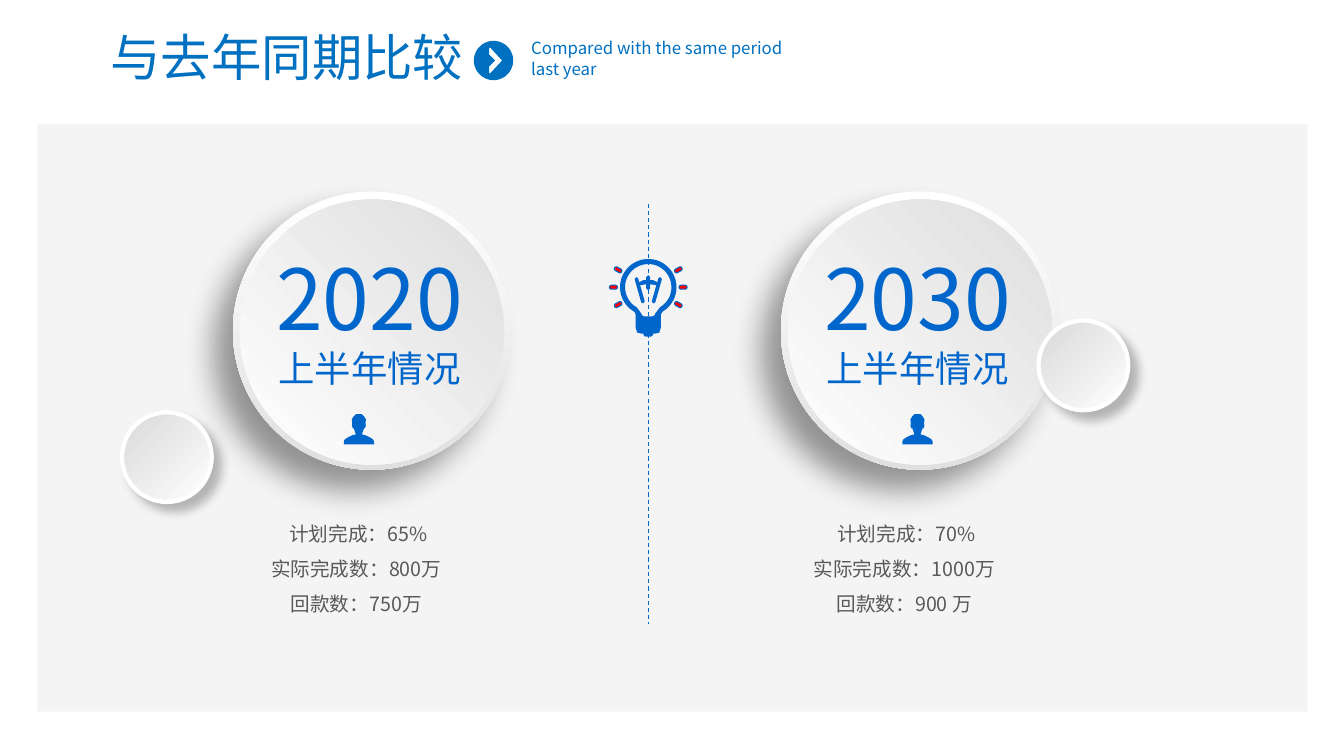
"""Builds the slide that compares the first half of two years."""
from math import cos, radians, sin

from lxml.etree import SubElement
from pptx import Presentation
from pptx.dml.color import RGBColor
from pptx.enum.dml import MSO_LINE
from pptx.enum.shapes import MSO_CONNECTOR, MSO_SHAPE
from pptx.enum.text import MSO_ANCHOR, MSO_AUTO_SIZE, PP_ALIGN
from pptx.oxml.ns import qn
from pptx.util import Inches, Pt

RECTANGLE, ELLIPSE = MSO_SHAPE.RECTANGLE, MSO_SHAPE.OVAL
STRAIGHT, DASH = MSO_CONNECTOR.STRAIGHT, MSO_LINE.DASH
LEFT, CENTER = PP_ALIGN.LEFT, PP_ALIGN.CENTER
TOP, NO_FIT = MSO_ANCHOR.TOP, MSO_AUTO_SIZE.NONE

HEADING_BLUE = RGBColor(0x00, 0x70, 0xC0)
BLUE = RGBColor(0x00, 0x66, 0xCC)
RED = RGBColor(0xFF, 0x00, 0x00)
WHITE = RGBColor(0xFF, 0xFF, 0xFF)
PANEL_GRAY = RGBColor(0xF2, 0xF2, 0xF2)
RIM_GRAY = RGBColor(0xE0, 0xE0, 0xE0)
FACE_GRAY = RGBColor(0xDD, 0xDE, 0xDD)
DOT_GRAY = RGBColor(0xD9, 0xD9, 0xD9)
TEXT_GRAY = RGBColor(0x59, 0x59, 0x59)

FONT = "Noto Sans CJK SC"
CELL = Inches(0.1)


def write(frame, lines, size, color, align=LEFT, spacing=None, wrap=True):
    """Fill a text frame with one paragraph per line."""
    frame.word_wrap = wrap
    frame.auto_size = NO_FIT
    frame.vertical_anchor = TOP
    for index, line in enumerate(lines):
        para = frame.add_paragraph() if index else frame.paragraphs[0]
        para.alignment = align
        para.line_spacing = spacing
        span = para.add_run()
        span.text = line
        span.font.name = FONT
        span.font.size = Pt(size)
        span.font.color.rgb = color
        SubElement(span.font._element, qn("a:ea"), typeface=FONT)


def arc(x, y, radius, start, stop, step=6):
    """Return points along a circle, with angles in clockwise degrees."""
    angles = [radians(angle) for angle in range(start, stop + 1, step)]
    return [(x + radius * cos(angle), y + radius * sin(angle)) for angle in angles]


def mirrored(x, y, half):
    """Return a symmetric outline from its left half, relative to (x, y)."""
    left = [(x + dx, y + dy) for dx, dy in half]
    right = [(x - dx, y + dy) for dx, dy in reversed(half)]
    return left + right


def ray(x, y, angle, distance=3.45, reach=0.2, radius=0.2):
    """Return a pill that points away from (x, y)."""
    turn = radians(angle)
    ends = [(x + d * cos(turn), y + d * sin(turn))
            for d in (distance + reach, distance - reach)]
    return (arc(*ends[0], radius, angle - 90, angle + 90, 15)
            + arc(*ends[1], radius, angle + 90, angle + 270, 15))


class Board:
    """Draws styled elements on a slide with lengths in grid cells."""

    def __init__(self, page):
        """Keep the slide to draw on."""
        self.page = page
        self.shapes = page.shapes

    def place(self, *lengths):
        """Turn grid cells into slide lengths."""
        return [int(length * CELL) for length in lengths]

    def title(self, text, area, **style):
        """Move and format the title placeholder."""
        box = self.shapes.title
        box.left, box.top, box.width, box.height = self.place(*area)
        write(box.text_frame, [text], **style)

    def text(self, lines, area, **style):
        """Add a text box."""
        box = self.shapes.add_textbox(*self.place(*area))
        write(box.text_frame, lines, **style)

    def panel(self, area, color, opacity):
        """Add a see-through rectangle."""
        box = self.shapes.add_shape(RECTANGLE, *self.place(*area))
        box.shadow.inherit = False
        box.fill.solid()
        box.fill.fore_color.rgb = color
        box.line.fill.background()
        tint = box.element.spPr.find(f"{qn('a:solidFill')}/{qn('a:srgbClr')}")
        SubElement(tint, qn("a:alpha"), val=str(opacity * 1000))

    def disc(self, area, colors, angle, border=None, shadow=None):
        """Add a gradient circle; shadow is opacity, blur, distance, direction."""
        disc = self.shapes.add_shape(ELLIPSE, *self.place(*area))
        disc.shadow.inherit = False
        disc.fill.gradient()
        disc.fill.gradient_angle = angle
        for stop, color in zip(disc.fill.gradient_stops, colors):
            stop.color.rgb = color
        if border:
            disc.line.color.rgb = border
            disc.line.width = Pt(3)
        else:
            disc.line.fill.background()
        if shadow:
            opacity, blur, distance, direction = shadow
            effects = disc.element.spPr.find(qn("a:effectLst"))
            cast = SubElement(effects, qn("a:outerShdw"), blurRad=str(Pt(blur)),
                              dist=str(Pt(distance)), dir=str(direction * 60000),
                              algn="ctr", rotWithShape="0")
            black = SubElement(cast, qn("a:srgbClr"), val="000000")
            SubElement(black, qn("a:alpha"), val=str(opacity * 1000))

    def outline(self, contours, color, border=None):
        """Add one freeform made of closed contours."""
        scaled = [[(x * 100, y * 100) for x, y in contour] for contour in contours]
        builder = self.shapes.build_freeform(*scaled[0][0], scale=CELL / 100)
        for index, contour in enumerate(scaled):
            if index:
                builder.move_to(*contour[0])
            builder.add_line_segments(contour[1:], close=True)
        form = builder.convert_to_shape()
        form.shadow.inherit = False
        form.fill.solid()
        form.fill.fore_color.rgb = color
        if border:
            form.line.color.rgb = border
            form.line.width = Pt(0.75)
        else:
            form.line.fill.background()

    def divider(self, ends, color):
        """Add a dashed line."""
        line = self.shapes.add_connector(STRAIGHT, *self.place(*ends))
        line.line.color.rgb = color
        line.line.width = Pt(0.75)
        line.line.dash_style = DASH
        SubElement(line.element.spPr, qn("a:effectLst"))


PERSON = [(-0.3, 0), (-0.5, 0.2), (-0.7, 0.5), (-0.65, 1), (-0.7, 1.1),
          (-0.6, 1.4), (-0.5, 1.4), (-0.3, 2), (-0.7, 2.1), (-1.1, 2.3),
          (-1.4, 2.5), (-1.5, 2.7), (-1.5, 3)]
SOCKET = [(-1.25, 2.7), (-1.25, 4), (-1.1, 4.5), (-0.7, 4.6), (-0.5, 4.6),
          (-0.4, 4.85), (-0.2, 4.9)]
NECK = [(-0.7, 2.6), (-0.6, 2.8), (-0.4, 2.9)]
FILAMENT = [(0, 0.3), (-0.2, 0.1), (-0.2, -0.3), (-0.8, -0.2), (-0.35, 1.4),
            (-0.5, 1.6), (-0.7, 1.5), (-1.35, -0.8), (-1.2, -1), (-1, -0.9),
            (-0.9, -0.5), (-0.5, -0.7), (-0.2, -0.7), (-0.2, -1), (0, -1.2)]
CHEVRON = [(49.8, 6), (48.6, 7.3), (48.5, 7.2), (48.5, 6.6), (49.1, 6),
           (48.5, 5.4), (48.5, 4.8), (48.6, 4.7)]
BULB = (64.3, 28.5)
RAY_ANGLES = (-30, 0, 30, 150, 180, 210)
YEARS = [
    (0, 35.6, "2020", ["计划完成：65%", "实际完成数：800万 ", "回款数：750万 "]),
    (54.35, 91, "2030", ["计划完成：70%", "实际完成数：1000万 ", "回款数：900 万 "]),
]

deck = Presentation()
deck.slide_width, deck.slide_height = Inches(13.33), Inches(7.5)
board = Board(deck.slides.add_slide(deck.slide_layouts[5]))

board.title("与去年同期比较", (7.6, 2.1, 41.7, 7.1), size=36, color=HEADING_BLUE, align=CENTER)
board.outline([arc(48.95, 6, 1.95, 0, 354), CHEVRON], HEADING_BLUE)
board.text(["Compared with the same period last year"], (51.7, 3.3, 29.1, 5),
           size=12, color=HEADING_BLUE)
board.panel((3.7, 12.3, 126, 58.3), PANEL_GRAY, 78)

board.divider((64.3, 20.2, 64.3, 61.9), BLUE)
board.outline([arc(*BULB, 2.8, 119, 421) + mirrored(*BULB, SOCKET)[::-1],
               arc(*BULB, 2.3, 119, 421) + mirrored(*BULB, NECK)[::-1]], BLUE)
board.outline([ray(*BULB, angle) for angle in RAY_ANGLES], RED, border=BLUE)
board.outline([mirrored(*BULB, FILAMENT)], BLUE)

for shift, person_x, year, notes in YEARS:
    board.disc((23.1 + shift, 19, 27.5, 27.6), (WHITE, RIM_GRAY), 270,
               shadow=(40, 22, 20, 135))
    board.disc((23.8 + shift, 19.8, 26.2, 26.3), (WHITE, FACE_GRAY), 45)
    board.text([year], (25.8 + shift, 24, 21.7, 11.1),
               size=60, color=BLUE, align=CENTER, wrap=False)
    board.text(["上半年情况"], (22.4 + shift, 33.8, 28.5, 5.4),
               size=26, color=BLUE, align=CENTER)
    board.outline([mirrored(person_x, 41.1, PERSON)], BLUE)
    board.text(notes, (21 + shift, 50.1, 29.1, 11.6),
               size=14, color=TEXT_GRAY, align=CENTER, spacing=1.5)

for left, top in ((12.1, 40.9), (103, 31.8)):
    board.disc((left, top, 8.9, 8.9), (DOT_GRAY, WHITE), 315,
               border=WHITE, shadow=(25, 7, 8, 45))

deck.save("out.pptx")
